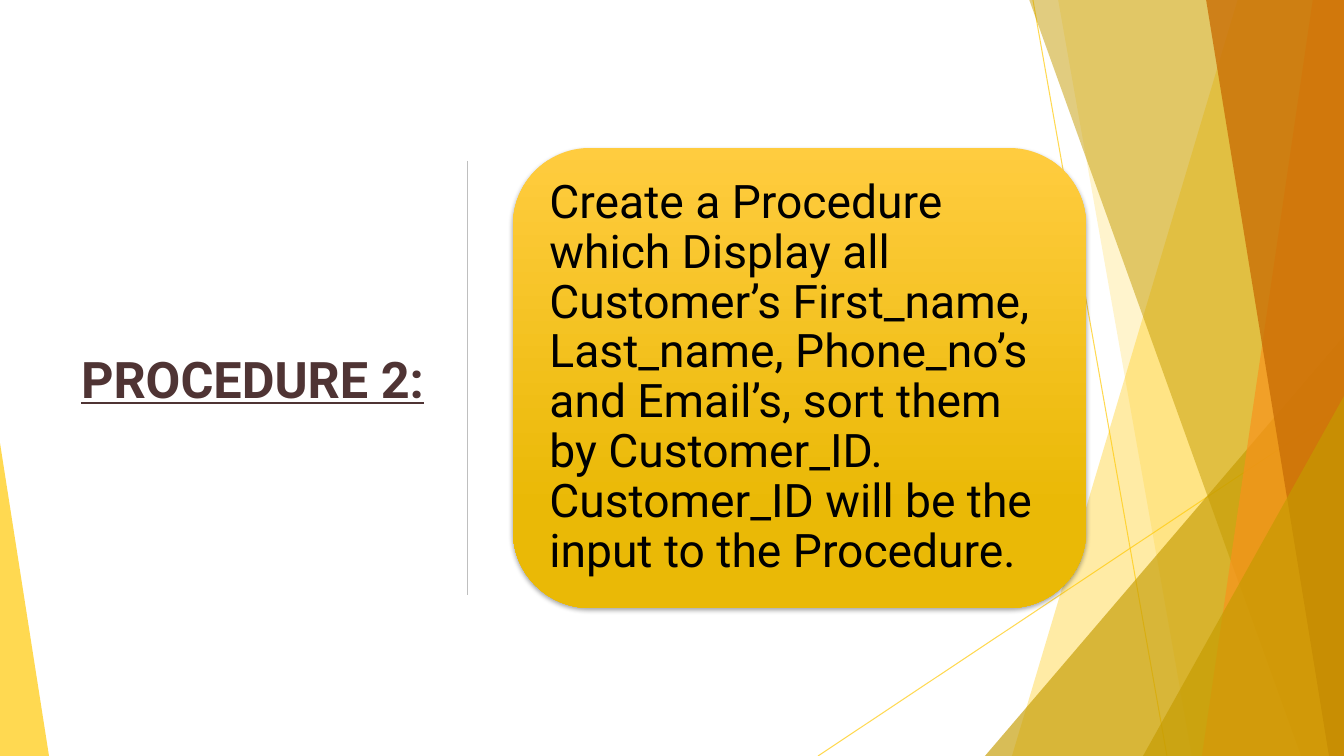
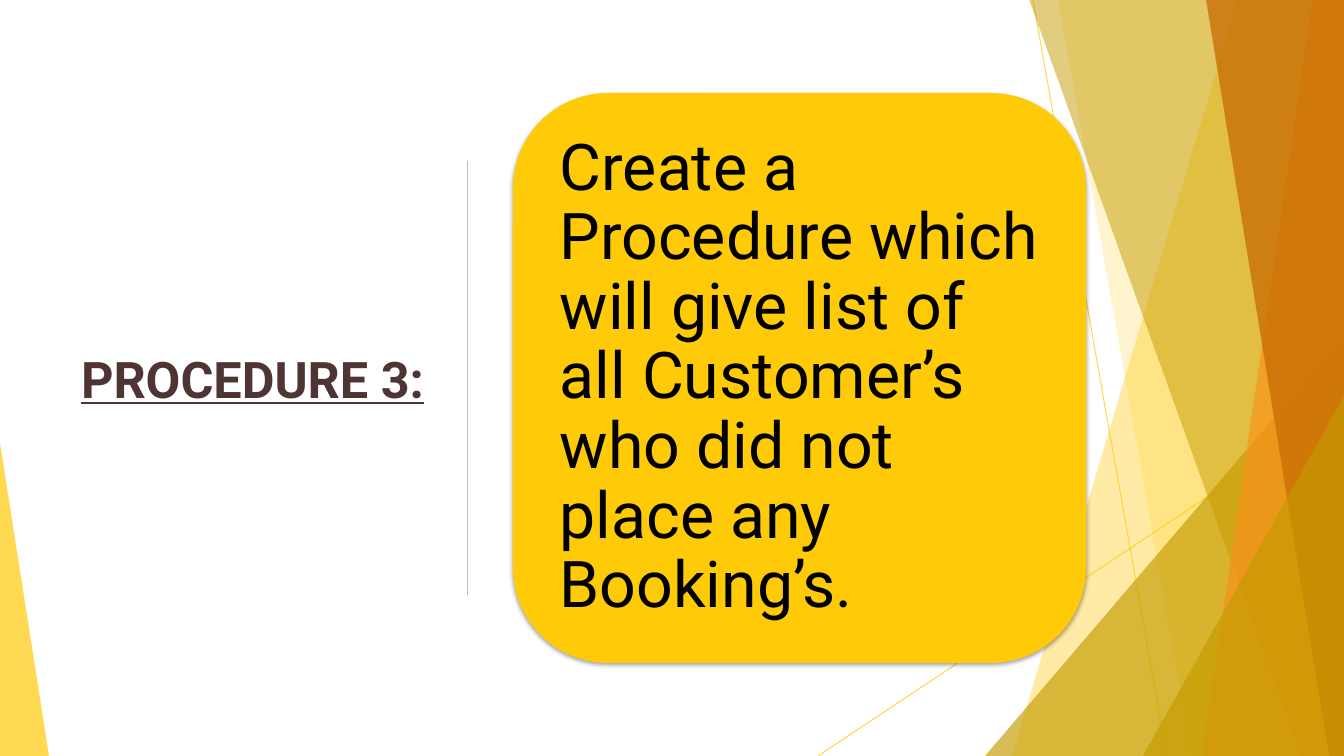
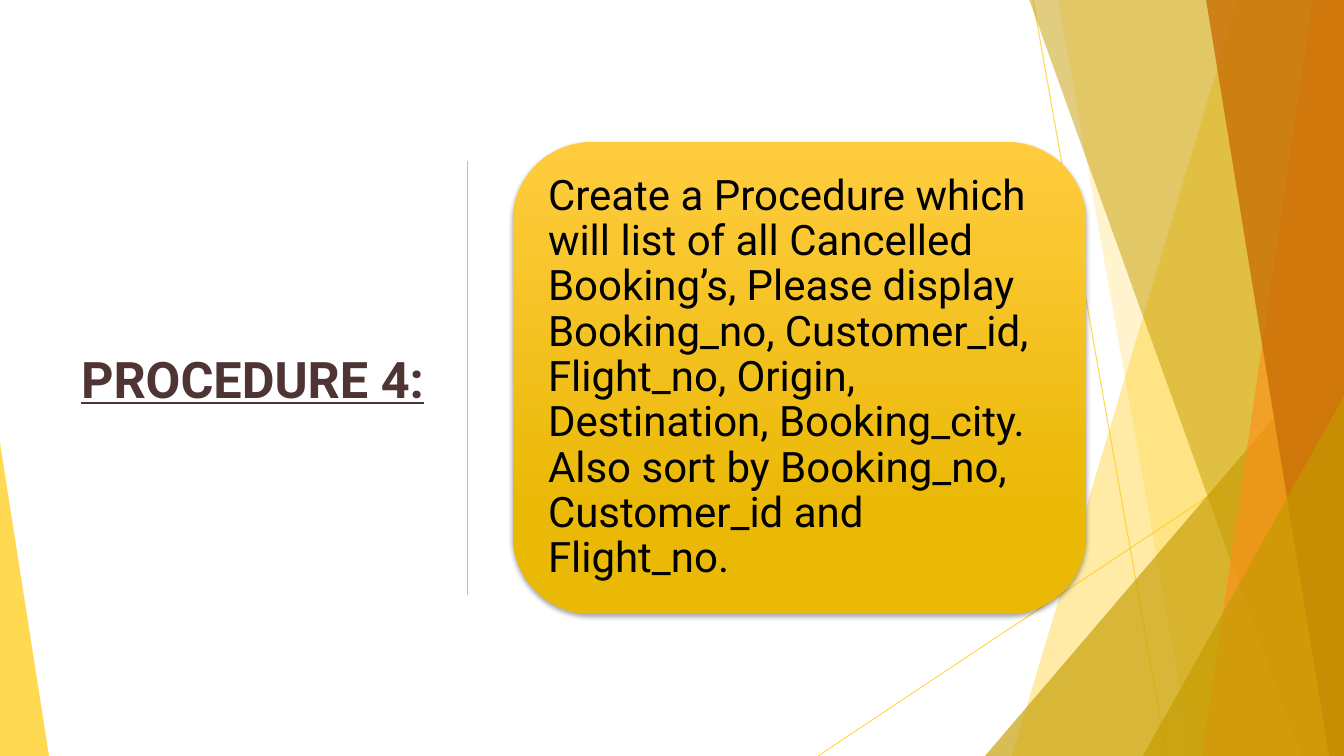
from lxml import etree
from pptx import Presentation
from pptx.dml.color import RGBColor
from pptx.enum.shapes import MSO_CONNECTOR, MSO_SHAPE
from pptx.enum.text import MSO_ANCHOR, MSO_AUTO_SIZE, PP_ALIGN
from pptx.oxml.ns import qn
from pptx.util import Emu, Pt

STRAIGHT = MSO_CONNECTOR.STRAIGHT
TRIANGLE = MSO_SHAPE.ISOSCELES_TRIANGLE
ROUNDED = MSO_SHAPE.ROUNDED_RECTANGLE
MIDDLE = MSO_ANCHOR.MIDDLE
NO_AUTOFIT = MSO_AUTO_SIZE.NONE
LEFT = PP_ALIGN.LEFT

EMU_PER_PX = 12192000 / 1344
SLIDE_WIDTH, SLIDE_HEIGHT = 1344, 756
TITLE_ONLY_LAYOUT = 5

FONT = "Roboto"
BLACK = "000000"
BROWN = "4F3434"
GREY = "BFBFBF"
YELLOW = "FFCA08"
OLIVE = "C59B00"
ORANGE = "F8931D"
RUST = "CA6F06"
CARD_GRADIENT = [(0, "FFCC3F"), (0.78, "EAB906")]

TITLE_BOX = (71, 90, 371, 576)
CARD_LEFT, CARD_WIDTH = 513, 573

# title, card text, card height, text inset, font size, gradient card
PROCEDURES = [
    ("PROCEDURE 2:",
     "Create a Procedure which Display all Customer’s First_name, Last_name, "
     "Phone_no’s and Email’s, sort them by Customer_ID. Customer_ID will be "
     "the input to the Procedure.",
     460, 14, 33, True),
    ("PROCEDURE 3:",
     "Create a Procedure which will give list of all Customer’s who did not "
     "place any Booking’s.",
     570, 19, 46, False),
    ("PROCEDURE 4:",
     "Create a Procedure which will list of all Cancelled Booking’s, Please "
     "display Booking_no, Customer_id, Flight_no, Origin, Destination, "
     "Booking_city. Also sort by Booking_no, Customer_id and Flight_no.",
     472, 12, 30, True),
]


def px(length):
    return Emu(round(length * EMU_PER_PX))


def color(hex_string):
    return RGBColor.from_string(hex_string)


def set_opacity(shape, percent):
    for color_element in shape._element.spPr.iter(qn("a:srgbClr")):
        etree.SubElement(color_element, qn("a:alpha"), val=str(percent * 1000))


def fill_plain(shape, hex_string, opacity):
    shape.shadow.inherit = False
    shape.fill.solid()
    shape.fill.fore_color.rgb = color(hex_string)
    shape.line.fill.background()
    set_opacity(shape, opacity)


def add_line(shapes, start, end, hex_string, opacity=100):
    line = shapes.add_connector(STRAIGHT, *map(px, start + end))
    line.line.color.rgb = color(hex_string)
    line.line.width = Pt(0.75)
    set_opacity(line, opacity)
    etree.SubElement(line._element.spPr, qn("a:effectLst"))


def add_band(shapes, top_x, bottom_x, hex_string, opacity):
    """Slanted band from the given left edge to the right side of the slide."""
    builder = shapes.build_freeform(top_x, -1, scale=EMU_PER_PX)
    builder.add_line_segments([
        (SLIDE_WIDTH, -1), (SLIDE_WIDTH, SLIDE_HEIGHT), (bottom_x, SLIDE_HEIGHT)])
    fill_plain(builder.convert_to_shape(), hex_string, opacity)


def add_corner(shapes, left, top, width, apex, hex_string, opacity):
    """Right triangle standing on the bottom edge; apex 0 is left, 1 is right."""
    box = (left, top, width, SLIDE_HEIGHT - top)
    corner = shapes.add_shape(TRIANGLE, *map(px, box))
    corner.adjustments[0] = apex
    fill_plain(corner, hex_string, opacity)


def draw_facets(shapes):
    add_line(shapes, (1033, 0), (1167, SLIDE_HEIGHT), YELLOW, 70)
    add_line(shapes, (SLIDE_WIDTH, 406), (818, SLIDE_HEIGHT), YELLOW, 70)
    add_band(shapes, 1238, 1012, YELLOW, 36)
    add_band(shapes, 1058, 1192, YELLOW, 20)
    add_corner(shapes, 985, 336, 359, 1, OLIVE, 66)
    add_band(shapes, 1029, 1301, OLIVE, 50)
    add_band(shapes, 1313, 1202, ORANGE, 70)
    add_band(shapes, 1206, 1329, RUST, 80)
    add_corner(shapes, 1143, 396, 201, 1, OLIVE, 66)
    add_corner(shapes, 0, 443, 49, 0, YELLOW, 70)


def decorate_layout(layout, slide):
    """Draw the shared facets on a slide, then move them to its layout."""
    group = slide.shapes.add_group_shape()
    draw_facets(group.shapes)
    for number, properties in enumerate(group._element.iter(qn("p:cNvPr")), 100):
        properties.set("id", str(number))
    layout.placeholders[0]._element.addprevious(group._element)


def write_text(frame, text, size, hex_string):
    frame.word_wrap = True
    frame.auto_size = NO_AUTOFIT
    frame.vertical_anchor = MIDDLE
    paragraph = frame.paragraphs[0]
    paragraph.alignment = LEFT
    run = paragraph.add_run()
    run.text = text
    run.font.name = FONT
    run.font.size = Pt(size)
    run.font.color.rgb = color(hex_string)
    return paragraph, run


def set_title(slide, text):
    title = slide.shapes.title
    title.left, title.top, title.width, title.height = map(px, TITLE_BOX)
    _, run = write_text(title.text_frame, text, 36, BROWN)
    run.font.bold = True
    run.font.underline = True


def add_soft_shadow(shape):
    shape.shadow.inherit = False
    effects = shape._element.spPr.find(qn("a:effectLst"))
    shadow = etree.SubElement(
        effects, qn("a:outerShdw"), blurRad=str(Pt(3)), dist=str(Pt(2)),
        dir="5400000", rotWithShape="0")
    shade = etree.SubElement(shadow, qn("a:srgbClr"), val=BLACK)
    etree.SubElement(shade, qn("a:alpha"), val="35000")


def fill_card(card, has_gradient):
    if has_gradient:
        card.fill.gradient()
        card.fill.gradient_angle = 270
        for stop, (position, hex_string) in zip(card.fill.gradient_stops, CARD_GRADIENT):
            stop.position = position
            stop.color.rgb = color(hex_string)
    else:
        card.fill.solid()
        card.fill.fore_color.rgb = color(YELLOW)
    card.line.fill.background()
    add_soft_shadow(card)


def add_card(slide, text, height, inset, size, has_gradient):
    box = (CARD_LEFT, (SLIDE_HEIGHT - height) // 2, CARD_WIDTH, height)
    card = slide.shapes.add_shape(ROUNDED, *map(px, box))
    fill_card(card, has_gradient)
    frame = card.text_frame
    frame.margin_left = frame.margin_right = px(inset)
    frame.margin_top = frame.margin_bottom = px(inset)
    paragraph, _ = write_text(frame, text, size, BLACK)
    paragraph.line_spacing = 0.9


def main():
    presentation = Presentation()
    presentation.slide_width = px(SLIDE_WIDTH)
    presentation.slide_height = px(SLIDE_HEIGHT)
    layout = presentation.slide_layouts[TITLE_ONLY_LAYOUT]
    for index, (title, *card) in enumerate(PROCEDURES):
        slide = presentation.slides.add_slide(layout)
        if index == 0:
            decorate_layout(layout, slide)
        add_line(slide.shapes, (468, 161), (468, 595), GREY)
        set_title(slide, title)
        add_card(slide, *card)
    presentation.save("out.pptx")


if __name__ == "__main__":
    main()
